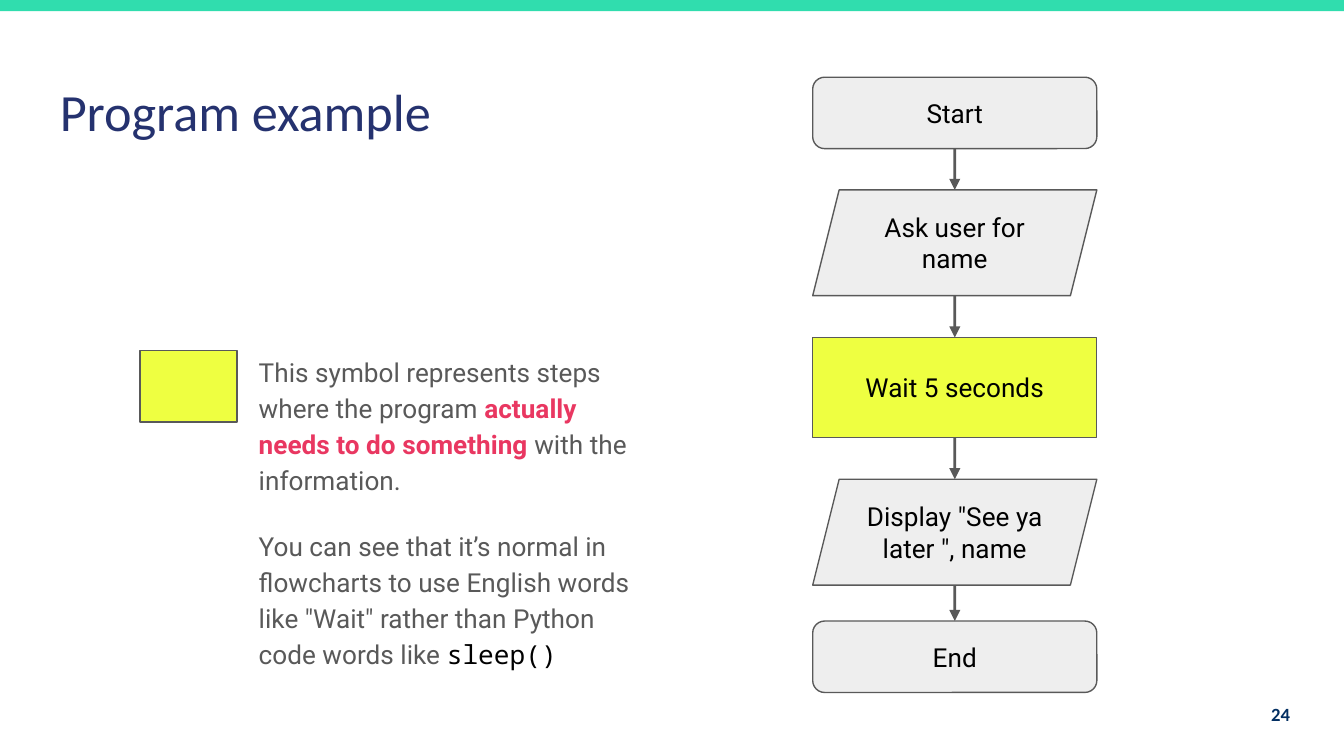
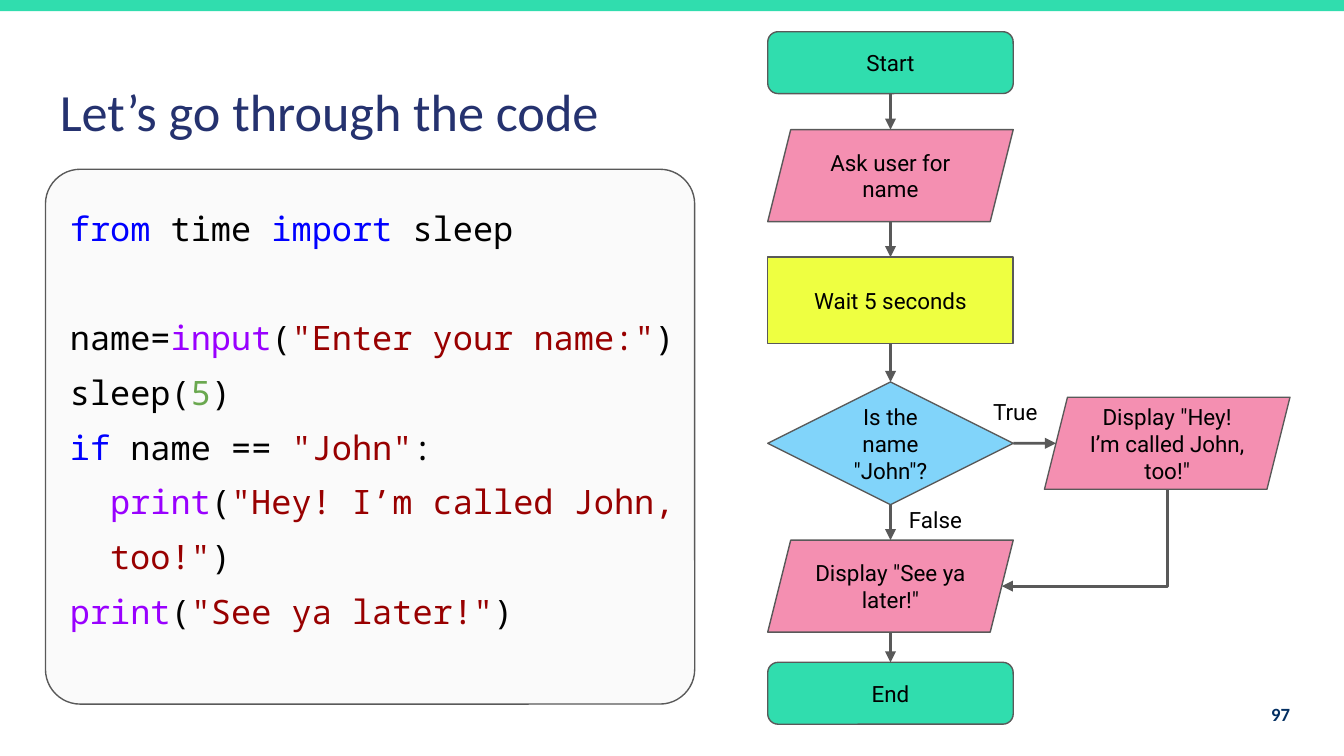
import pptx
import pptx.util
import pptx.dml.color
import pptx.enum.shapes
import pptx.enum.text
import pptx.oxml.ns
from lxml import etree

Cm, Pt = pptx.util.Cm, pptx.util.Pt
RGB = pptx.dml.color.RGBColor
KIND = pptx.enum.shapes.MSO_SHAPE
LINK = pptx.enum.shapes.MSO_CONNECTOR
ALIGN = pptx.enum.text.PP_ALIGN
ANCHOR = pptx.enum.text.MSO_ANCHOR
qn = pptx.oxml.ns.qn

# Colours
BLACK = RGB(0x00, 0x00, 0x00)
TEAL = RGB(0x30, 0xDD, 0xAE)
NAVY = RGB(0x25, 0x32, 0x6F)
PAGE = RGB(0x03, 0x2F, 0x62)
GREY = RGB(0x59, 0x59, 0x59)
PALE = RGB(0xEE, 0xEE, 0xEE)
PAPER = RGB(0xFA, 0xFA, 0xFA)
YELLOW = RGB(0xEE, 0xFF, 0x41)
PINK = RGB(0xF4, 0x8F, 0xB1)
SKY = RGB(0x81, 0xD4, 0xFA)
ROSE = RGB(0xE9, 0x37, 0x61)
BLUE = RGB(0x00, 0x00, 0xFF)
PURPLE = RGB(0x99, 0x00, 0xFF)
RED = RGB(0x98, 0x00, 0x00)
GREEN = RGB(0x6A, 0xA8, 0x4F)

# Fonts and formats
SANS, MONO, HEAD = "Roboto", "Noto Sans Mono", "Calibri"
FRAME = dict(word_wrap=True, auto_size=pptx.enum.text.MSO_AUTO_SIZE.NONE,
             margin_left=Cm(0.25), margin_right=Cm(0.25),
             margin_top=Cm(0.25), margin_bottom=Cm(0.25))
PLAIN = dict(space_before=Pt(0), space_after=Pt(0), alignment=ALIGN.LEFT)

# Shape outlines used in the flowcharts
ROUND, SLANT = KIND.ROUNDED_RECTANGLE, KIND.PARALLELOGRAM
RECT, DIAMOND = KIND.RECTANGLE, KIND.DIAMOND
ADJUST = {ROUND: 0.167, SLANT: 0.25}


def apply(item, values):
    for name, value in values.items():
        setattr(item, name, value)


def place(shape, *box):
    names = ("left", "top", "width", "height")
    apply(shape, dict(zip(names, map(Cm, box))))


def write(para, text, size, color, font=SANS, bold=False):
    run = para.add_run()
    run.text = text
    apply(run.font, dict(size=Pt(size), name=font, bold=bold))
    run.font.color.rgb = color


def label(shape, text, size, color=BLACK, font=SANS, bold=False,
          align=ALIGN.CENTER, anchor=ANCHOR.MIDDLE):
    frame = shape.text_frame
    apply(frame, dict(FRAME, vertical_anchor=anchor))
    para = frame.paragraphs[0]
    para.alignment = align
    write(para, text, size, color, font, bold)


def note(slide, box, text, size, **style):
    label(slide.shapes.add_textbox(*map(Cm, box)), text, size, **style)


def shape(slide, kind, box, fill, line=GREY, adjust=None):
    item = slide.shapes.add_shape(kind, *map(Cm, box))
    item.shadow.inherit = False
    item.fill.solid()
    item.fill.fore_color.rgb = fill
    if line is None:
        item.line.fill.background()
    else:
        item.line.color.rgb = line
        item.line.width = Pt(0.75)
    adjust = adjust or ADJUST.get(kind)
    if adjust:
        item.adjustments[0] = adjust
    return item


def arrow(slide, x1, y1, x2, y2, kind=LINK.STRAIGHT):
    item = slide.shapes.add_connector(kind, *map(Cm, (x1, y1, x2, y2)))
    item.line.color.rgb = GREY
    item.line.width = Pt(1.5)
    etree.SubElement(item.line._get_or_add_ln(), qn("a:tailEnd"), type="triangle")
    etree.SubElement(item._element.spPr, qn("a:effectLst"))
    return item


def turn(slide, x1, y1, x2, y2):
    """Arrow that runs down, then left: a quarter-turned elbow."""
    midx, midy = (x1 + x2) / 2, (y1 + y2) / 2
    halfw, halfh = (y2 - y1) / 2, (x1 - x2) / 2
    item = arrow(slide, midx - halfw, midy - halfh, midx + halfw, midy + halfh,
                 LINK.ELBOW)
    props = item._element.spPr
    props.find(qn("a:xfrm")).set("rot", "5400000")
    props.find(qn("a:prstGeom")).set("prst", "bentConnector2")


def flow(slide, left, top, width, size, steps):
    """Stack of steps (kind, text, height, fill, gap below) with arrows."""
    mid, last, boxes = left + width / 2, None, []
    for kind, text, height, fill, gap in steps:
        item = shape(slide, kind, (left, top, width, height), fill)
        label(item, text, size)
        if last:
            link = arrow(slide, mid, end, mid, top)
            if last.auto_shape_type != SLANT:
                link.begin_connect(last, 2)
            if kind != SLANT:
                link.end_connect(item, 0)
        boxes.append(item)
        last, end = item, top + height
        top = end + gap
    return boxes


def body(slide, box, paras, size, font, spacing):
    """Fill the list placeholder; each paragraph is (format, indent, runs)."""
    hold = slide.placeholders[1]
    place(hold, *box)
    slide.shapes._spTree.append(hold._element)  # bring to front
    frame = hold.text_frame
    apply(frame, dict(FRAME, vertical_anchor=ANCHOR.TOP))
    for num, (form, indent, runs) in enumerate(paras):
        para = frame.add_paragraph() if num else frame.paragraphs[0]
        apply(para, {**PLAIN, "line_spacing": spacing, **form})
        props = para._p.get_or_add_pPr()
        props.set("marL", str(Cm(indent)))
        props.set("indent", "0")
        etree.SubElement(props, qn("a:buNone"))
        for text, color, *more in runs:
            write(para, text, size, color, **{"font": font, **dict(*more)})


def start(deck, title, width, number):
    """New slide with band, title and page number."""
    slide = deck.slides.add_slide(deck.slide_layouts[1])
    shape(slide, RECT, (-0.02, 0, 25.45, 0.21), TEAL, None)
    place(slide.shapes.title, 0.88, 1.24, width, 1.6)
    label(slide.shapes.title, title, 28, NAVY, HEAD,
          align=ALIGN.LEFT, anchor=ANCHOR.TOP)
    note(slide, (23.11, 12.95, 1.52, 1.09), number, 10,
         color=PAGE, font=HEAD, bold=True, align=ALIGN.RIGHT)
    return slide


def sample(deck):
    slide = start(deck, "Program example", 7.87, "24")
    shape(slide, RECT, (2.65, 6.63, 1.83, 1.35), YELLOW)
    body(slide, (4.64, 6.39, 7.87, 3.4), [
        ({}, 0, [("This symbol represents steps where the program ", GREY),
                 ("actually needs to do something", ROSE, {"bold": True}),
                 (" with the information.", GREY)]),
        (dict(space_before=Pt(16), space_after=Pt(16)), 0,
         [("You can see that it’s normal in flowcharts to use English words "
           "like \"Wait\" rather than Python code words like ", GREY),
          ("sleep()", BLACK, {"font": MONO})]),
    ], 14, SANS, 1.15)
    flow(slide, 15.36, 1.46, 5.37, 14, [
        (ROUND, "Start", 1.35, PALE, 0.78),
        (SLANT, "Ask user for name", 2, PALE, 0.79),
        (RECT, "Wait 5 seconds", 1.89, YELLOW, 0.79),
        (SLANT, "Display \"See ya later \", name", 2, PALE, 0.68),
        (ROUND, "End", 1.35, PALE, 0),
    ])


def code(deck):
    slide = start(deck, "Let’s go through the code", 11.79, "97")

    # Flowchart
    left, wide, tall = 14.51, 4.64, 1.74
    boxes = flow(slide, left, 0.6, wide, 12, [
        (ROUND, "Start", 1.17, TEAL, 0.68),
        (SLANT, "Ask user for name", tall, PINK, 0.67),
        (RECT, "Wait 5 seconds", 1.63, YELLOW, 0.73),
        (DIAMOND, "Is the name \"John\"?", 2.32, SKY, 0.67),
        (SLANT, "Display \"See ya later!\"", tall, PINK, 0.57),
        (ROUND, "End", 1.17, TEAL, 0),
    ])

    # Branch for a true answer
    side, top, slope = 19.74, 7.51, tall / 8
    label(shape(slide, SLANT, (side, top, wide, tall), PINK),
          "Display \"Hey! I’m called John, too!\"", 12)
    mid = top + tall / 2
    link = arrow(slide, left + wide, mid, side + slope, mid)
    link.begin_connect(boxes[3], 3)
    low = (boxes[4].top + boxes[4].height / 2) / Cm(1)
    turn(slide, side + wide / 2, top + tall, left + wide - slope, low)
    for text, box in (("True", (18.52, 7.27, 1.42, 0.91)),
                      ("False", (16.93, 9.31, 1.85, 0.91))):
        note(slide, box, text, 12, align=ALIGN.LEFT, anchor=ANCHOR.TOP)

    # Code listing
    shape(slide, ROUND, (0.86, 3.2, 12.27, 10.11), PAPER, adjust=0.065)
    body(slide, (1.07, 3.4, 12.06, 9.93), [
        ({}, 0, [("from", BLUE), (" time ", BLACK), ("import", BLUE),
                 (" sleep", BLACK)]),
        (dict(space_before=Pt(29.2)), 0,
         [("name=", BLACK), ("input", PURPLE), ("(", BLACK),
          ("\"Enter your name:\"", RED), (")", BLACK)]),
        ({}, 0, [("sleep(", BLACK), ("5", GREEN), (")", BLACK)]),
        ({}, 0, [("if", BLUE), (" name == ", BLACK), ("\"John\"", RED),
                 (":", BLACK)]),
        ({}, 0.76, [("print", PURPLE), ("(", BLACK),
                    ("\"Hey! I’m called John, too!\"", RED), (")", BLACK)]),
        ({}, 0, [("print", PURPLE), ("(", BLACK),
                 ("\"See ya later!\"", RED), (")", BLACK)]),
    ], 18, MONO, 1.36)


def main():
    deck = pptx.Presentation()
    apply(deck, dict(slide_width=Cm(25.4), slide_height=Cm(14.29)))
    sample(deck)
    code(deck)
    deck.save("out.pptx")


if __name__ == "__main__":
    main()
